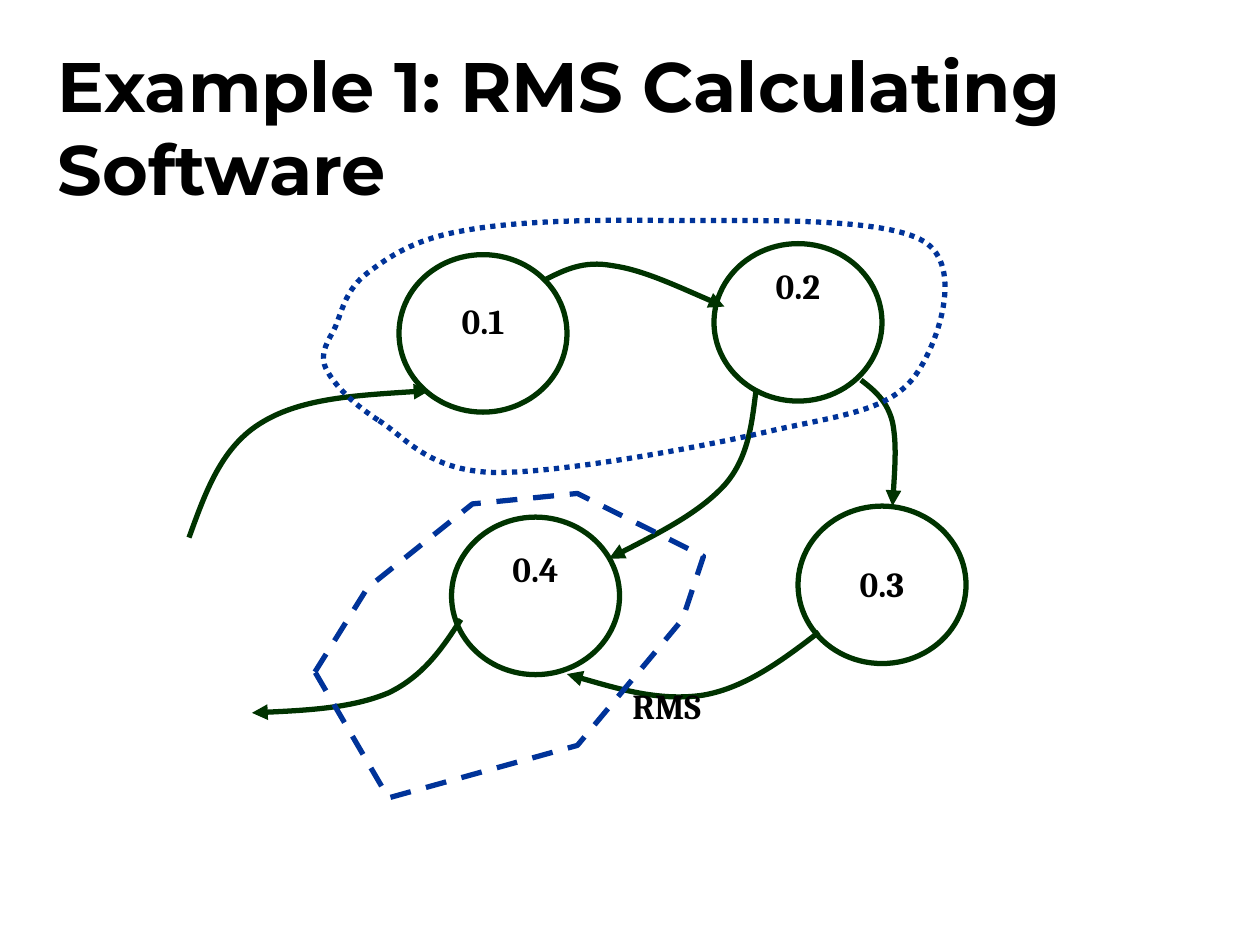
"""Builds the RMS data-flow slide on a grid of 120 columns by 90 rows."""
import pptx
import pptx.dml.color
import pptx.enum.dml
import pptx.enum.shapes
import pptx.enum.text
import pptx.oxml
import pptx.oxml.ns
import pptx.util

INK = {"text": "000000", "flow": "003300", "zone": "003399"}
DASH = pptx.enum.dml.MSO_LINE
ALIGN = pptx.enum.text.PP_ALIGN

NODES = [
    ("0.1", 38, 24.25, 25.2, 13.2, 0.33),
    ("0.4", 43, 49.25, 52.2, 9.2, 0.05),
    ("0.2", 68, 23.2, 25.2, 16.7, 0.05),
    ("0.3", 76, 48.2, 50.2, 13.2, 0.33),
]
FLOWS = [
    [(18, 51.2), (19.6, 46.8), (21.1, 42.5), (25, 40.2),
     (28.8, 37.9), (34.9, 37.6), (40.9, 37.2)],
    [(52, 26.6), (53.8, 25.7), (55.6, 24.8), (58.3, 25.3),
     (61.2, 25.7), (65, 27.5), (69, 29.2)],
    [(82, 36.2), (83.3, 37.2), (84.5, 38.2), (85, 40.2),
     (85.4, 42.2), (85.2, 45.2), (85, 48.2)],
    [(78, 60.2), (74.5, 62.9), (71, 65.5), (67, 66.2),
     (63, 66.8), (58.4, 65.5), (54, 64.2)],
    [(43.9, 59), (42.1, 61.8), (40.3, 64.4), (37, 66),
     (33.6, 67.4), (28.8, 67.7), (24, 67.9)],
    [(72, 37.2), (71.6, 40.3), (71.3, 43.6), (69, 46.2),
     (66.6, 48.8), (62.3, 51), (58, 53.2)],
]
INPUT = [
    (36, 40), (33.4, 38.3), (31.7, 36.5), (31, 35),
    (30.4, 33.5), (31.3, 32.5), (32, 31),
    (32.6, 29.5), (33, 27.5), (35, 26),
    (37, 24.5), (39.4, 22.8), (44, 22),
    (48.6, 21.1), (55.7, 20.9), (63, 21),
    (70.3, 21.1), (84, 20.5), (88, 23),
    (91.9, 25.4), (89.3, 33), (87, 36),
    (84.6, 39), (80.6, 39.5), (74, 40.9),
    (67.3, 42.5), (53.3, 45.1), (47, 45),
    (40.7, 44.8), (38.6, 41.6), (36, 40),
]
OUTPUT = [(30, 64), (35, 56), (45, 48), (55, 47), (67, 53),
          (65, 59), (55, 71), (37, 76), (30, 64)]


class Deck:
    """Holds the style and the current slide."""

    def __init__(self):
        self.prs = pptx.Presentation()
        self.prs.slide_width = pptx.util.Inches(10)
        self.prs.slide_height = pptx.util.Inches(7.5)
        self.unit = self.prs.slide_width / 120
        self.slide = self.prs.slides.add_slide(self.prs.slide_layouts[5])

    def grid(self, *cells):
        """Turns grid cells into lengths."""
        return [pptx.util.Emu(round(cell * self.unit)) for cell in cells]

    def letter(self, box, text, size, face, inset=0.05, **look):
        """Fills a box with one styled paragraph."""
        frame = box.text_frame
        frame.text = text
        style = {
            "word_wrap": True,
            "auto_size": pptx.enum.text.MSO_AUTO_SIZE.NONE,
            "margin_left": pptx.util.Inches(0.02),
            "margin_right": pptx.util.Inches(0.02),
            "margin_top": pptx.util.Inches(inset),
            "margin_bottom": pptx.util.Inches(0.05),
        }
        para = frame.paragraphs[0]
        font = {"size": pptx.util.Pt(size), "name": face, "bold": True}
        for goal, values in ((frame, style), (para, look), (para.font, font)):
            for key, value in values.items():
                setattr(goal, key, value)
        para.font.color.rgb = pptx.dml.color.RGBColor.from_string(INK["text"])
        return frame

    def title(self, text, *cells):
        """Places the title."""
        box = self.slide.shapes.title
        box.left, box.top, box.width, box.height = self.grid(*cells)
        frame = self.letter(box, text, 40, "Montserrat", alignment=ALIGN.LEFT)
        frame.vertical_anchor = pptx.enum.text.MSO_ANCHOR.MIDDLE

    def label(self, text, *cells, inset=0.05, align=ALIGN.CENTER):
        """Adds a text box."""
        box = self.slide.shapes.add_textbox(*self.grid(*cells))
        self.letter(box, text, 20, "Cambria", inset,
                    alignment=align, line_spacing=0.85)

    def trace(self, shape, ink, dash=None):
        """Leaves a shape with its outline only."""
        shape.shadow.inherit = False
        shape.fill.background()
        shape.line.color.rgb = pptx.dml.color.RGBColor.from_string(INK[ink])
        shape.line.width = pptx.util.Pt(3)
        if dash:
            shape.line.dash_style = dash

    def node(self, *cells):
        """Adds a process circle."""
        oval = pptx.enum.shapes.MSO_SHAPE.OVAL
        self.trace(self.slide.shapes.add_shape(oval, *self.grid(*cells)), "flow")

    def outline(self, points, ink, dash=None, curve=False, arrow=False):
        """Draws straight edges or Bezier curves through the points."""
        start, *rest = [self.grid(*point) for point in points]
        build = self.slide.shapes.build_freeform(*start)
        build.add_line_segments(rest, close=False)
        shape = build.convert_to_shape()
        self.trace(shape, ink, dash)
        if curve:
            edges = shape.element.xpath(".//a:lnTo")
            for first, *others in zip(edges[::3], edges[1::3], edges[2::3]):
                first.tag = pptx.oxml.ns.qn("a:cubicBezTo")
                for edge in others:
                    first.append(edge[0])
                    edge.getparent().remove(edge)
        if arrow:
            tip = pptx.oxml.parse_xml(
                f'<a:tailEnd {pptx.oxml.ns.nsdecls("a")} type="triangle"/>')
            shape.element.xpath("./p:spPr/a:ln")[0].append(tip)


def main():
    """Builds and saves the slide."""
    deck = Deck()
    deck.title("Example 1: RMS Calculating Software", 5.25, 3.5, 102, 17)
    for _, col, row, *_ in NODES:
        deck.node(col, row, 16, 15)
    for flow in FLOWS:
        deck.outline(flow, "flow", curve=True, arrow=True)
    for text, col, _, row, high, inset in NODES:
        deck.label(text, col, row, 16, high, inset=inset)
    deck.label("RMS", 60, 65.2, 12, 5.2, align=ALIGN.LEFT)
    deck.outline(INPUT, "zone", DASH.ROUND_DOT, curve=True)
    deck.outline(OUTPUT, "zone", DASH.DASH)
    deck.prs.save("out.pptx")


if __name__ == "__main__":
    main()
